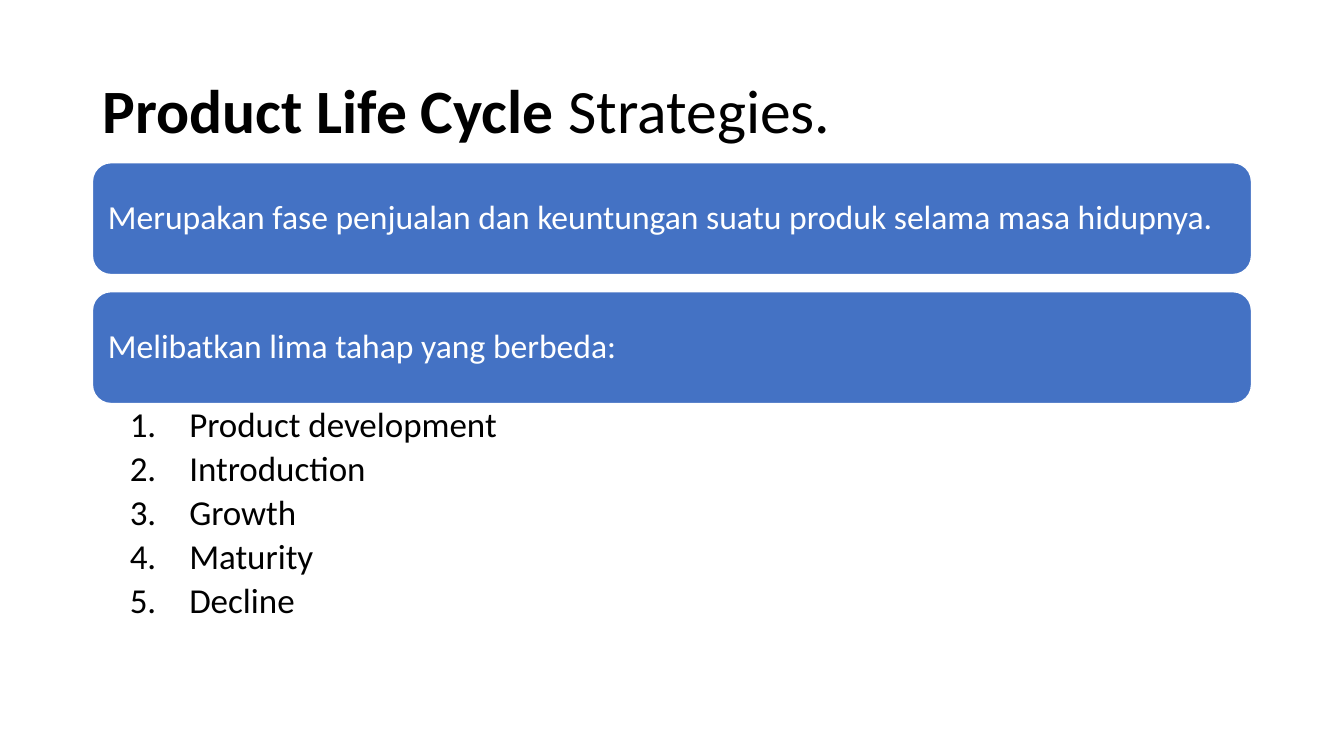
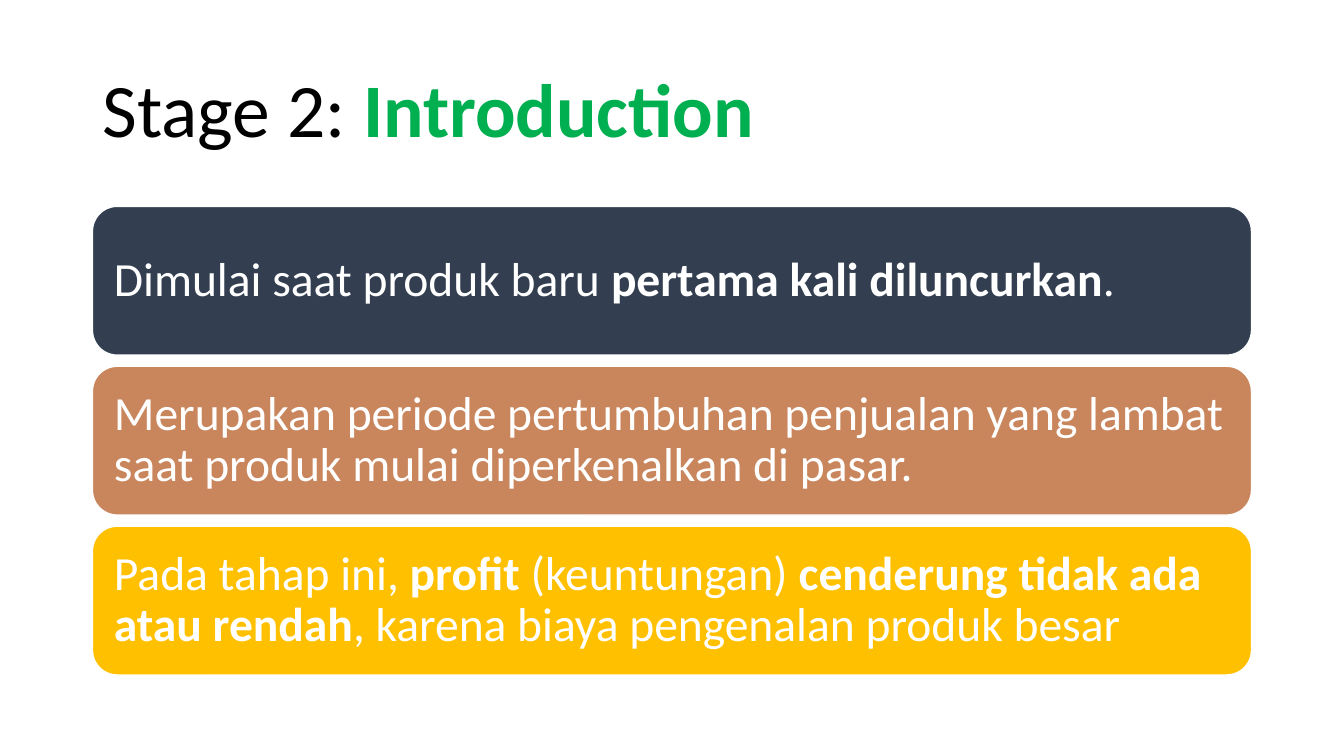
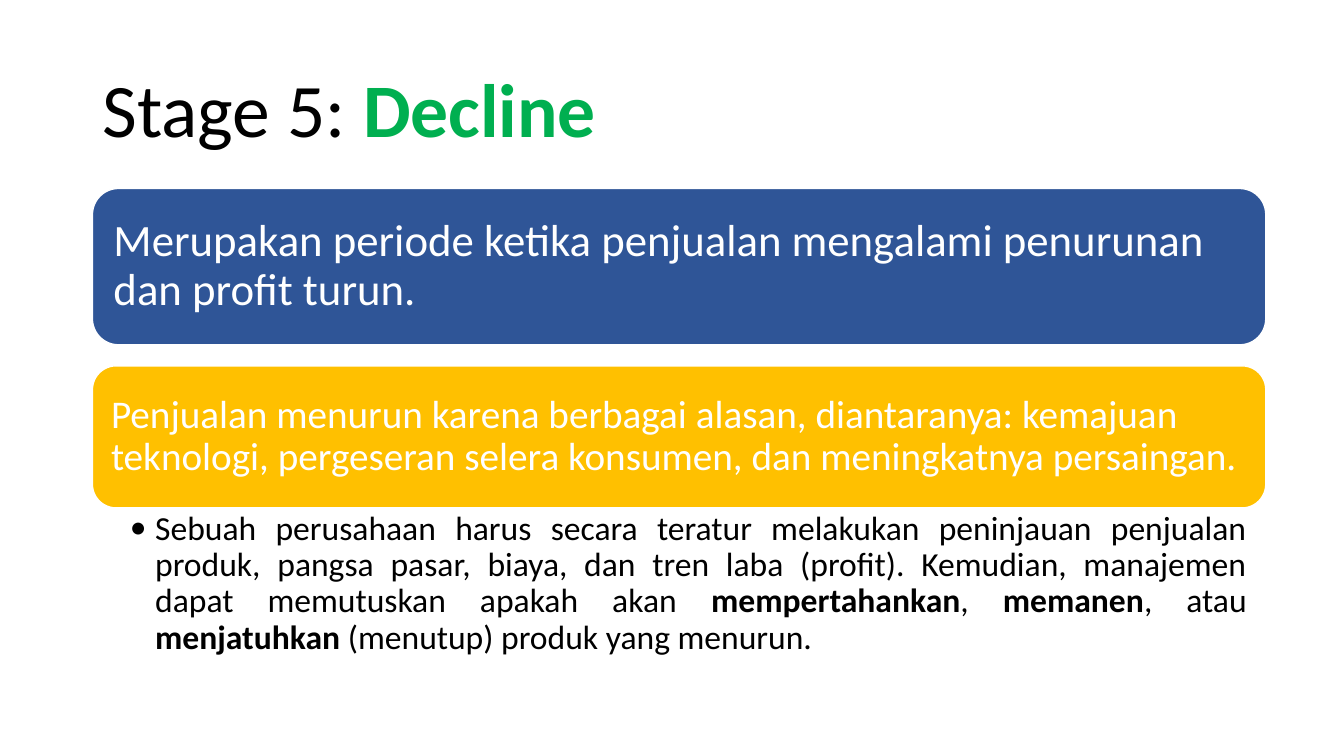
"""Build three slides on product life cycle stages."""
from pptx import Presentation
from pptx.dml.color import RGBColor
from pptx.enum import shapes, text
from pptx.oxml import ns, xmlchemy as xc
from pptx.util import Cm, Pt

FONT = "Calibri"
BLACK = RGBColor(0x00, 0x00, 0x00)
WHITE = RGBColor(0xFF, 0xFF, 0xFF)
GREEN = RGBColor(0x00, 0xAF, 0x50)
BLUE = RGBColor(0x44, 0x72, 0xC4)
NAVY = RGBColor(0x2F, 0x55, 0x97)
SLATE = RGBColor(0x33, 0x3F, 0x50)
CLAY = RGBColor(0xC9, 0x85, 0x5C)
GOLD = RGBColor(0xFF, 0xC0, 0x00)
LEFT = 2.33
LEFT_ALIGN = text.PP_ALIGN.LEFT
JUSTIFY = text.PP_ALIGN.JUSTIFY


def write(frame, lines, size, color=BLACK, strong=None, align=LEFT_ALIGN,
          anchor=text.MSO_ANCHOR.MIDDLE, after=0, level=0):
    """Fill a frame; text between asterisks is bold, in the strong colour."""
    frame.word_wrap = True
    frame.auto_size = text.MSO_AUTO_SIZE.NONE
    frame.vertical_anchor = anchor
    for i, line in enumerate(lines):
        para = frame.add_paragraph() if i else frame.paragraphs[0]
        para.alignment, para.level = align, level
        para.line_spacing = 0.9
        para.space_before, para.space_after = Pt(0), Pt(after)
        for j, part in enumerate(line.split("*")):
            if part:
                run = para.add_run()
                run.text = part
                font = run.font
                font.name, font.size, font.bold = FONT, Pt(size), j % 2 == 1
                font.color.rgb = strong if strong and j % 2 else color


def bullet(para, indent, tag, **attrs):
    """Give a paragraph a hanging bullet or number."""
    props = para._p.get_or_add_pPr()
    props.set("marL", str(Cm(indent)))
    props.set("indent", str(-Cm(indent)))
    face = xc.OxmlElement("a:buFont")
    face.set("typeface", FONT)
    mark = xc.OxmlElement(tag)
    for key, val in attrs.items():
        mark.set(key, val)
    props.extend([face, mark])


deck = Presentation()
deck.slide_width, deck.slide_height = Cm(33.87), Cm(19.05)
head = deck.slide_master.placeholders[0]
head.left, head.top, head.width, head.height = Cm(LEFT), Cm(1.02), Cm(29.21), Cm(3.68)

PAGES = [
    dict(title="*Product Life Cycle* Strategies.", size=44, strong=BLACK,
         top=4.1, gap=0.43, width=29.21,
         bars=[
             (BLUE, 2.82, 24, "Merupakan fase penjualan dan keuntungan suatu produk selama masa hidupnya."),
             (BLUE, 2.82, 24, "Melibatkan lima tahap yang berbeda:")],
         items=["Product development", "Introduction", "Growth", "Maturity", "Decline"],
         form=dict(size=25, after=4.5), deep=5.89,
         mark=dict(indent=1.5, tag="a:buAutoNum", type="arabicPeriod")),
    dict(title="Stage 2: *Introduction*", size=54, strong=GREEN,
         top=5.2, gap=0.28, width=29.21,
         bars=[
             (SLATE, 3.75, 34, "Dimulai saat produk baru *pertama kali diluncurkan*."),
             (CLAY, 3.75, 34, "Merupakan periode pertumbuhan penjualan yang lambat saat produk mulai diperkenalkan di pasar."),
             (GOLD, 3.75, 34, "Pada tahap ini, *profit* (keuntungan) *cenderung tidak ada atau rendah*, karena biaya pengenalan produk besar")],
         items=[]),
    dict(title="Stage 5: *Decline*", size=54, strong=GREEN,
         top=4.75, gap=0.53, width=29.57,
         bars=[
             (NAVY, 3.94, 32, "Merupakan periode ketika penjualan mengalami penurunan dan profit turun."),
             (GOLD, 3.58, 28, "Penjualan menurun karena berbagai alasan, diantaranya: kemajuan teknologi, pergeseran selera konsumen, dan meningkatnya persaingan.")],
         items=["Sebuah perusahaan harus secara teratur melakukan peninjauan penjualan produk, pangsa pasar, biaya, dan tren laba (profit). Kemudian, manajemen dapat memutuskan apakah akan *mempertahankan*, *memanen*, atau *menjatuhkan* (menutup) produk yang menurun."],
         form=dict(size=24, after=4.5, align=JUSTIFY), deep=3.94,
         mark=dict(indent=0.64, tag="a:buChar", char="•")),
]

for page in PAGES:
    slide = deck.slides.add_slide(deck.slide_layouts[1 if page["items"] else 5])
    write(slide.shapes.title.text_frame, [page["title"]], page["size"], strong=page["strong"])
    y, width = page["top"], Cm(page["width"])
    for fill, high, size, line in page["bars"]:
        bar = slide.shapes.add_shape(shapes.MSO_SHAPE.ROUNDED_RECTANGLE,
                                     Cm(LEFT), Cm(y), width, Cm(high))
        bar.shadow.inherit = False
        bar.fill.solid()
        bar.fill.fore_color.rgb = fill
        bar.line.color.rgb, bar.line.width = WHITE, Pt(1)
        frame = bar.text_frame
        frame.margin_left = frame.margin_right = Pt(size * 0.3)
        frame.margin_top = frame.margin_bottom = Pt(size * 0.3)
        write(frame, [line], size, WHITE)
        y += high + page["gap"]
    if page["items"]:
        body = slide.placeholders[1]
        body.left, body.top = Cm(LEFT), Cm(y - page["gap"])
        body.width, body.height = width, Cm(page["deep"])
        frame = body.text_frame
        frame.margin_left, frame.margin_right = Cm(0.94), Cm(0.48)
        frame.margin_top = frame.margin_bottom = Cm(0.08)
        write(frame, page["items"], anchor=text.MSO_ANCHOR.TOP, level=1, **page["form"])
        for para in frame.paragraphs:
            bullet(para, **page["mark"])

deck.save("out.pptx")
